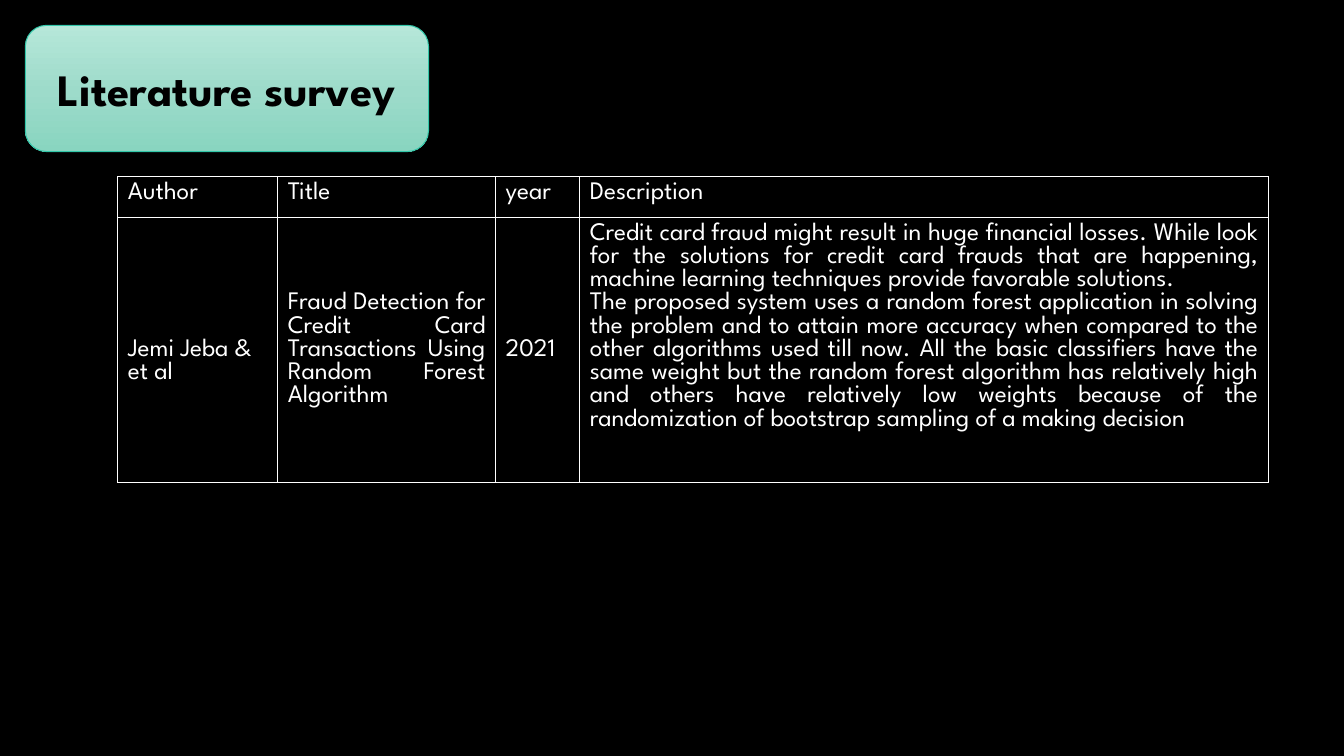
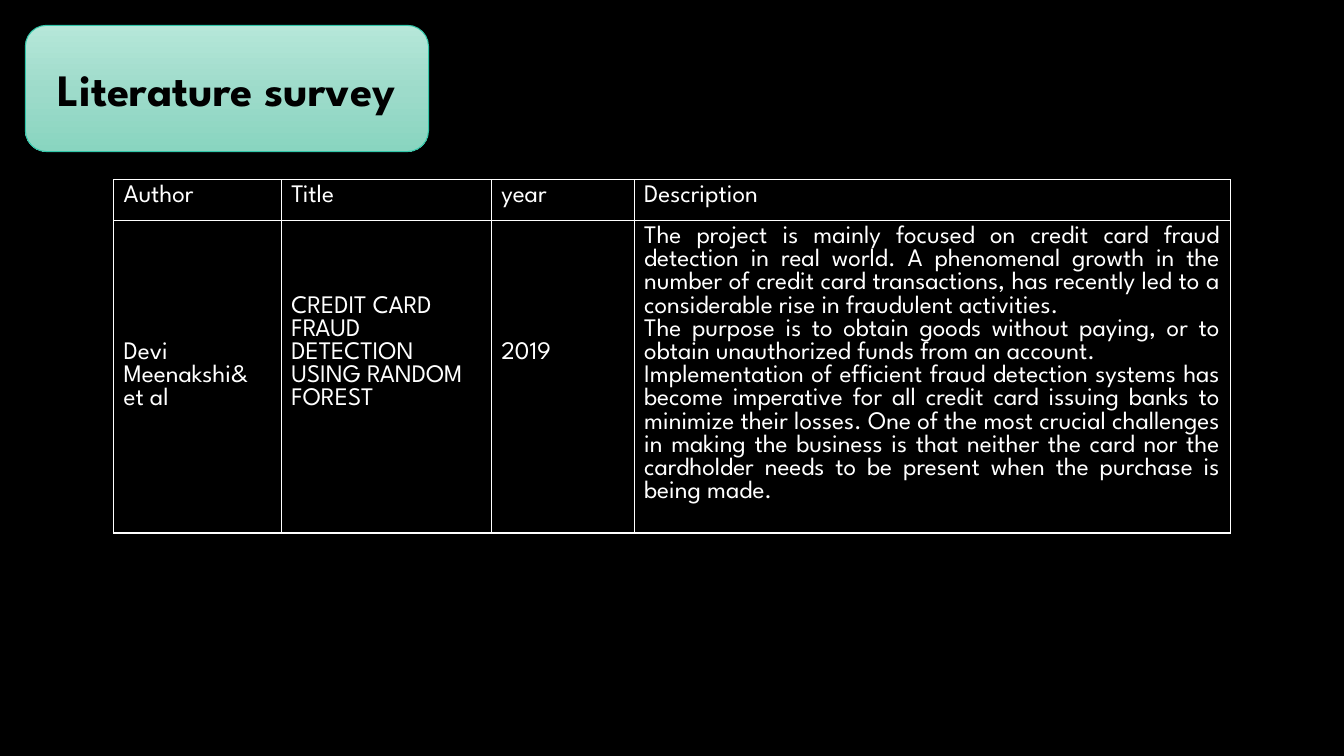
from copy import deepcopy

from lxml import etree
from pptx import Presentation
from pptx.dml.color import RGBColor
from pptx.enum.shapes import MSO_SHAPE
from pptx.enum.text import MSO_ANCHOR, PP_ALIGN
from pptx.oxml.ns import qn
from pptx.util import Cm, Pt

BANNER_SHAPE = MSO_SHAPE.FLOWCHART_ALTERNATE_PROCESS
MIDDLE = MSO_ANCHOR.MIDDLE
LEFT, CENTER, JUSTIFY = PP_ALIGN.LEFT, PP_ALIGN.CENTER, PP_ALIGN.JUSTIFY

FONT = "League Spartan"
BLACK, WHITE, BANNER_EDGE = "000000", "FFFFFF", "32C7A9"
BANNER_STOPS = [(0, "B6E7D9"), (0.52, "9DDBCA"), (1, "89D5C0")]
BANNER_BOX = (0.64, 0.64, 10.16, 3.18)

HEADINGS = ["Author", "Title", "year", "Description"]
HEADER_HEIGHT = 1.03
CELL_MARGIN = 0.13
TEXT_LINE = 0.585
LINES_ABOVE = [5, 3, 5, 0]  # how far each column's entry is lowered

SURVEYS = [
    {
        "origin": (2.97, 4.45),
        "columns": [4.03, 5.49, 2.12, 17.36],
        "entry_height": 6.68,
        "title_align": JUSTIFY,
        "entry": [
            ["Jemi Jeba & et al"],
            ["Fraud Detection for Credit Card Transactions Using Random Forest Algorithm"],
            ["2021"],
            [
                "Credit card fraud might result in huge ﬁnancial losses. While look for the "
                "solutions for credit card frauds that are happening, machine learning "
                "techniques provide favorable solutions.",
                "The proposed system uses a random forest application in solving the problem "
                "and to attain more accuracy when compared to the other algorithms used till "
                "now. All the basic classiﬁers have the same weight but the random forest "
                "algorithm has relatively high and others have relatively low weights because "
                "of the randomization of bootstrap sampling of a making decision",
            ],
        ],
    },
    {
        "origin": (2.86, 4.53),
        "columns": [4.23, 5.29, 3.6, 15.02],
        "entry_height": 7.87,
        "title_align": LEFT,
        "entry": [
            ["Devi Meenakshi& et al"],
            ["CREDIT CARD FRAUD DETECTION USING RANDOM FOREST"],
            ["2019"],
            [
                "The project is mainly focused on credit card fraud detection in real world. A "
                "phenomenal growth in the number of credit card transactions, has recently led "
                "to a considerable rise in fraudulent activities.",
                "The purpose is to obtain goods without paying, or to obtain unauthorized "
                "funds from an account.",
                "Implementation of efficient fraud detection systems has become imperative for "
                "all credit card issuing banks to minimize their losses. One of the most "
                "crucial challenges in making the business is that neither the card nor the "
                "cardholder needs to be present when the purchase is being made.",
            ],
        ],
    },
]


def rgb(value):
    return RGBColor.from_string(value)


def write(frame, paragraphs, color, size, align=LEFT, bold=False):
    font_format = {"name": FONT, "size": Pt(size), "bold": bold}
    for index, text in enumerate(paragraphs):
        paragraph = frame.add_paragraph() if index else frame.paragraphs[0]
        paragraph.alignment = align
        run = paragraph.add_run()
        run.text = text
        for key, value in font_format.items():
            setattr(run.font, key, value)
        run.font.color.rgb = rgb(color)


def add_banner(slide, box, heading):
    banner = slide.shapes.add_shape(BANNER_SHAPE, *map(Cm, box))
    banner.shadow.inherit = False
    banner.line.color.rgb = rgb(BANNER_EDGE)
    banner.line.width = Pt(0.75)
    banner.fill.gradient()
    banner.fill.gradient_angle = 270
    stop_list = next(banner._element.spPr.iter(qn("a:gsLst")))
    stop_list.append(deepcopy(stop_list[-1]))
    for stop, (position, color) in zip(banner.fill.gradient_stops, BANNER_STOPS):
        stop.position = position
        stop.color.rgb = rgb(color)
    banner.text_frame.word_wrap = True
    banner.text_frame.vertical_anchor = MIDDLE
    write(banner.text_frame, [heading], BLACK, 32, CENTER, bold=True)


def outline(cell):
    """Draw a white border on all four sides of a cell without a fill."""
    properties = cell._tc.get_or_add_tcPr()
    for side in ("a:lnL", "a:lnR", "a:lnT", "a:lnB"):
        border = etree.SubElement(properties, qn(side), w=str(Pt(1)))
        fill = etree.SubElement(border, qn("a:solidFill"))
        etree.SubElement(fill, qn("a:srgbClr"), val=WHITE)
    cell.fill.background()


def add_survey_table(slide, survey):
    widths = survey["columns"]
    heights = [HEADER_HEIGHT, survey["entry_height"]]
    size = (sum(widths), sum(heights))
    table = slide.shapes.add_table(
        len(heights), len(widths), *map(Cm, survey["origin"] + size)
    ).table
    table.first_row = table.horz_banding = False
    for row, height in zip(table.rows, heights):
        row.height = Cm(height)
    aligns = [LEFT, survey["title_align"], LEFT, JUSTIFY]
    for index, width in enumerate(widths):
        table.columns[index].width = Cm(width)
        header, entry = table.cell(0, index), table.cell(1, index)
        for cell in (header, entry):
            outline(cell)
        entry.margin_top = Cm(CELL_MARGIN + LINES_ABOVE[index] * TEXT_LINE)
        write(header.text_frame, [HEADINGS[index]], WHITE, 18)
        write(entry.text_frame, survey["entry"][index], WHITE, 18, aligns[index])


def add_survey_slide(deck, survey):
    slide = deck.slides.add_slide(deck.slide_layouts[6])
    slide.background.fill.solid()
    slide.background.fill.fore_color.rgb = rgb(BLACK)
    add_banner(slide, BANNER_BOX, "Literature survey")
    add_survey_table(slide, survey)


def main():
    deck = Presentation()
    deck.slide_width, deck.slide_height = Cm(33.87), Cm(19.05)
    for survey in SURVEYS:
        add_survey_slide(deck, survey)
    deck.save("out.pptx")


if __name__ == "__main__":
    main()
